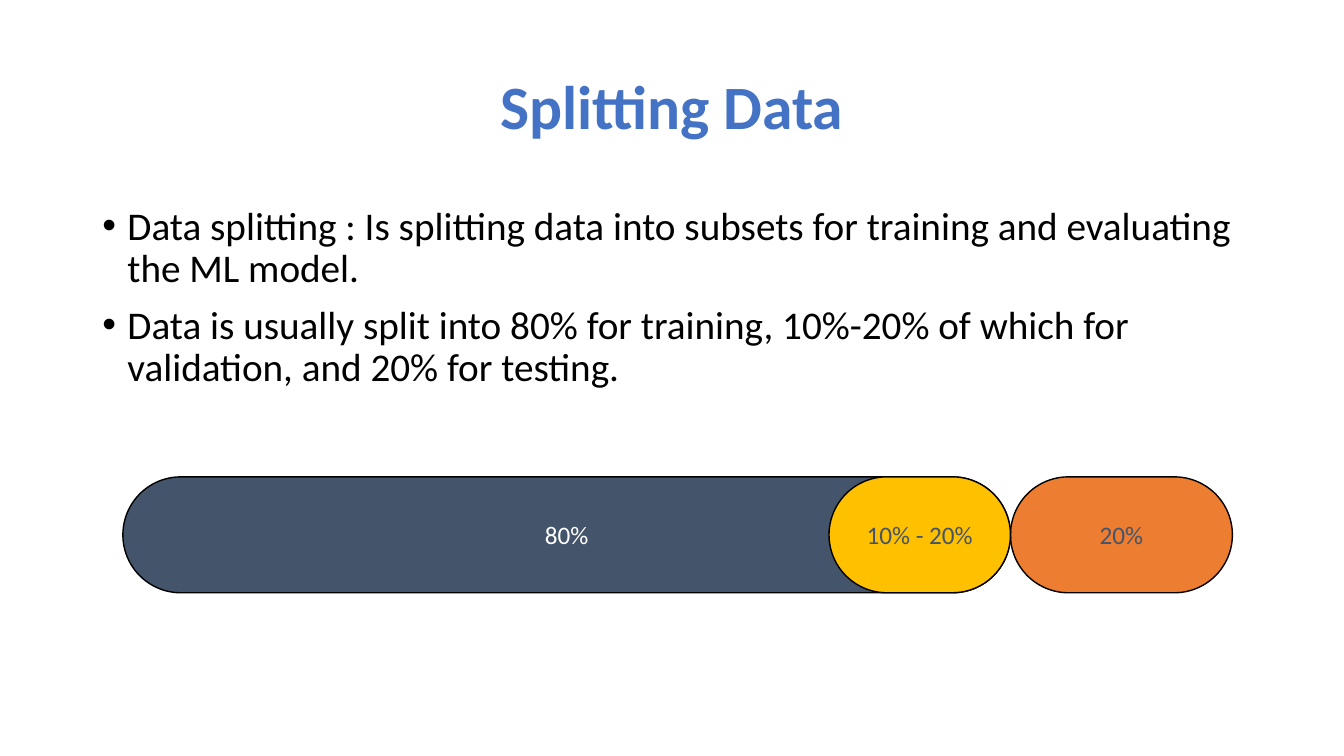
from dataclasses import dataclass

from lxml.etree import SubElement
from pptx import Presentation
from pptx.dml.color import RGBColor
from pptx.enum.shapes import MSO_SHAPE
from pptx.enum.text import MSO_ANCHOR, MSO_AUTO_SIZE, PP_ALIGN
from pptx.oxml.ns import qn
from pptx.slide import Slide
from pptx.text.text import TextFrame, _Paragraph
from pptx.util import Pt

BLUE = RGBColor(0x44, 0x72, 0xC4)
BLACK = RGBColor(0x00, 0x00, 0x00)
WHITE = RGBColor(0xFF, 0xFF, 0xFF)
SLATE = RGBColor(0x44, 0x54, 0x6A)
GOLD = RGBColor(0xFF, 0xC0, 0x00)
ORANGE = RGBColor(0xED, 0x7D, 0x31)

CONTENT_LEFT, CONTENT_WIDTH = 66, 828
BAR_LEFT, BAR_TOP, BAR_WIDTH, BAR_HEIGHT = 87.8, 340.6, 792.5, 82.8
TRAINING_WIDTH = BAR_WIDTH * 0.8
TESTING_WIDTH = BAR_WIDTH * 0.2
VALIDATION_WIDTH = 129.6
BULLET_INDENT = 18

TITLE_PARAGRAPH = {"alignment": PP_ALIGN.CENTER, "line_spacing": 0.9}
POINT_PARAGRAPH = {
    "alignment": PP_ALIGN.LEFT,
    "line_spacing": 0.9,
    "space_before": Pt(10),
}
SHARE_PARAGRAPH = {"alignment": PP_ALIGN.CENTER}
TITLE_FONT = {"name": "Calibri", "size": Pt(44), "bold": True}
POINT_FONT = {"name": "Calibri", "size": Pt(28)}
SHARE_FONT = {"name": "Calibri", "size": Pt(18)}
MIDDLE_FRAME = {
    "word_wrap": True,
    "auto_size": MSO_AUTO_SIZE.NONE,
    "vertical_anchor": MSO_ANCHOR.MIDDLE,
}
POINTS_FRAME = MIDDLE_FRAME | {"vertical_anchor": MSO_ANCHOR.TOP}


@dataclass(frozen=True)
class Share:
    label: str
    left: float
    width: float
    fill: RGBColor
    ink: RGBColor


TRAINING_END = BAR_LEFT + TRAINING_WIDTH
SHARES = [
    Share("20%", TRAINING_END, TESTING_WIDTH, ORANGE, SLATE),
    Share("80%", BAR_LEFT, TRAINING_WIDTH, SLATE, WHITE),
    Share("10% - 20%", TRAINING_END - VALIDATION_WIDTH, VALIDATION_WIDTH, GOLD, SLATE),
]
POINTS = [
    "Data splitting : Is splitting data into subsets for training and evaluating the ML model. ",
    "Data is usually split into 80% for training, 10%-20% of which for validation, "
    "and 20% for testing.",
]


def apply(target: object, values: dict) -> None:
    for name, value in values.items():
        setattr(target, name, value)


def write(
    paragraph: _Paragraph, text: str, layout: dict, font: dict, ink: RGBColor
) -> None:
    apply(paragraph, layout)
    run = paragraph.add_run()
    run.text = text
    apply(run.font, font)
    run.font.color.rgb = ink


def add_bullet(paragraph: _Paragraph) -> None:
    properties = paragraph._p.get_or_add_pPr()
    properties.set("marL", str(Pt(BULLET_INDENT)))
    properties.set("indent", str(-Pt(BULLET_INDENT)))
    SubElement(properties, qn("a:buFont")).set("typeface", "Arial")
    SubElement(properties, qn("a:buChar")).set("char", "•")


def write_points(frame: TextFrame, points: list[str]) -> None:
    apply(frame, POINTS_FRAME)
    for index, point in enumerate(points):
        paragraph = frame.add_paragraph() if index else frame.paragraphs[0]
        write(paragraph, point, POINT_PARAGRAPH, POINT_FONT, BLACK)
        add_bullet(paragraph)


def draw_share(slide: Slide, share: Share) -> None:
    capsule = slide.shapes.add_shape(
        MSO_SHAPE.ROUNDED_RECTANGLE,
        Pt(share.left), Pt(BAR_TOP), Pt(share.width), Pt(BAR_HEIGHT),
    )
    capsule.adjustments[0] = 0.5
    capsule.shadow.inherit = False
    capsule.fill.solid()
    capsule.fill.fore_color.rgb = share.fill
    capsule.line.color.rgb = BLACK
    capsule.line.width = Pt(1)
    apply(capsule.text_frame, MIDDLE_FRAME)
    write(
        capsule.text_frame.paragraphs[0],
        share.label, SHARE_PARAGRAPH, SHARE_FONT, share.ink,
    )


presentation = Presentation()
apply(presentation, {"slide_width": Pt(960), "slide_height": Pt(540)})
slide = presentation.slides.add_slide(presentation.slide_layouts[5])

title = slide.shapes.title
apply(title, {
    "left": Pt(CONTENT_LEFT),
    "top": Pt(26),
    "width": Pt(CONTENT_WIDTH),
    "height": Pt(104.4),
})
apply(title.text_frame, MIDDLE_FRAME)
write(title.text_frame.paragraphs[0], "Splitting Data", TITLE_PARAGRAPH, TITLE_FONT, BLUE)

explanation = slide.shapes.add_textbox(
    Pt(CONTENT_LEFT), Pt(144), Pt(CONTENT_WIDTH), Pt(342.7)
)
write_points(explanation.text_frame, POINTS)

for share in SHARES:
    draw_share(slide, share)

presentation.save("out.pptx")
